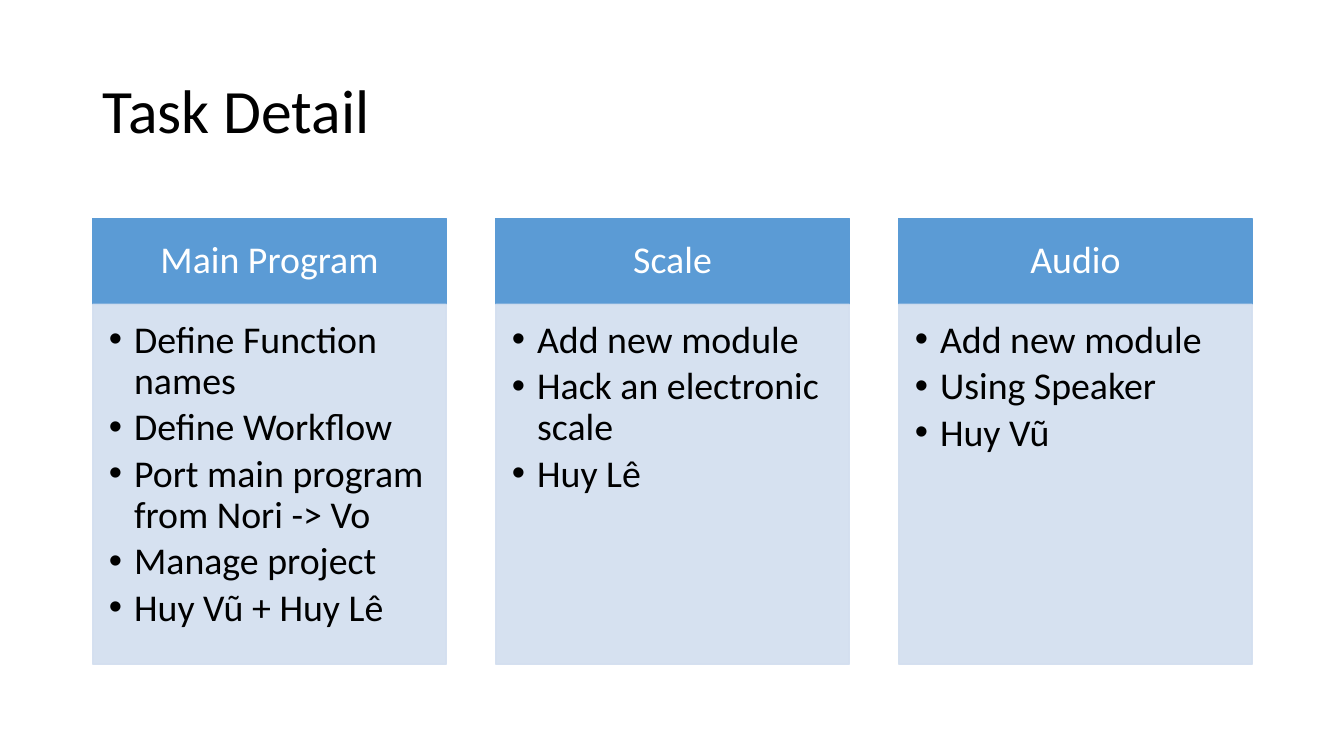
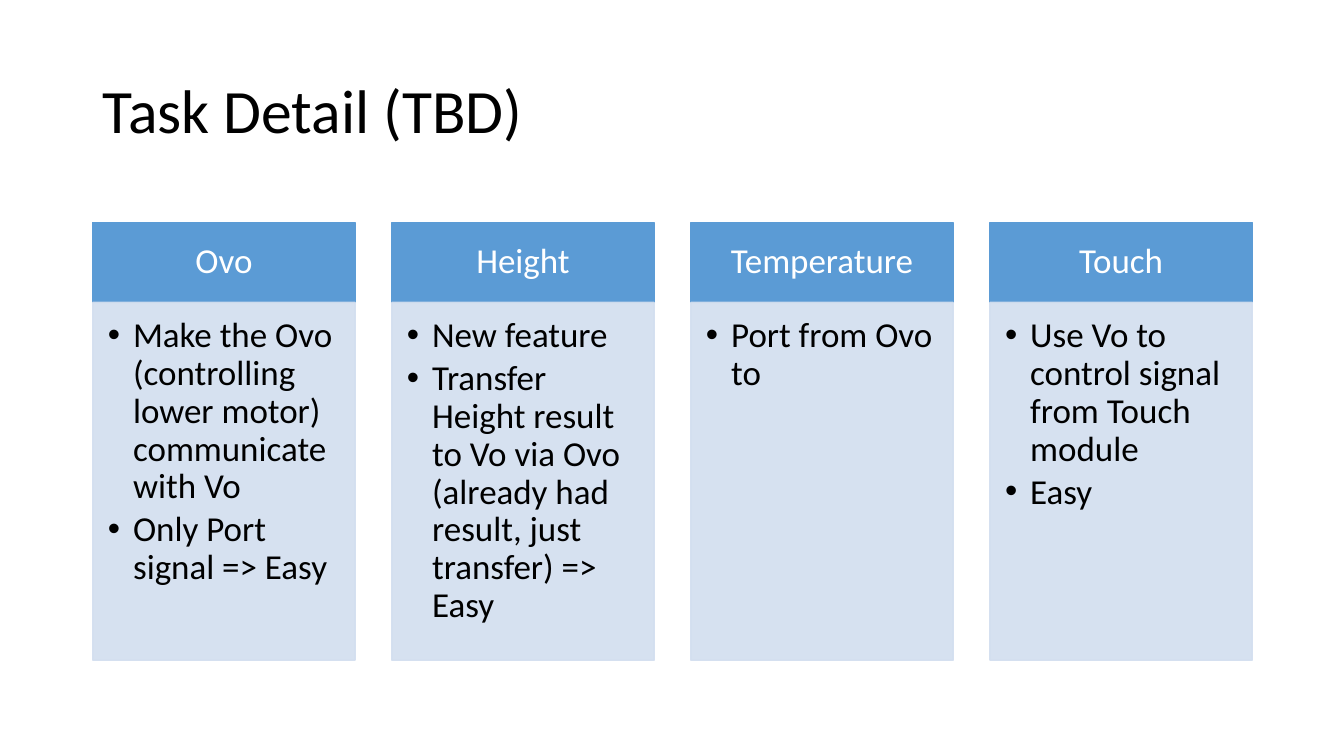
from lxml.etree import SubElement
from pptx import Presentation
from pptx.dml.color import RGBColor
from pptx.enum.shapes import MSO_SHAPE
from pptx.enum.text import MSO_ANCHOR, MSO_AUTO_SIZE, PP_ALIGN
from pptx.oxml.ns import qn
from pptx.util import Inches, Pt

COLORS = {
    "header": "5B9BD5",
    "panel": "D2DEEF",
    "text": "000000",
    "header_text": "FFFFFF",
}
FONT = "Calibri"
LEFT, CONTENT_WIDTH = 0.92, 11.5
GAP_RATIO = 0.14  # gap between columns, as a share of the column width
PANEL_OPACITY = 90
TITLE_ONLY = 5

SLIDES = [
    {
        "title": "Task Detail",
        "size": 27, "top": 2.17, "header_height": 0.85, "panel_height": 3.57,
        "header_insets": (0.21, 0.12, 0.21, 0.12),
        "panel_insets": (0.16, 0.16, 0.21, 0.24),
        "columns": [
            ("Main Program", ["Define Function names", "Define Workflow",
                              "Port main program from Nori -> Vo",
                              "Manage project", "Huy Vũ + Huy Lê"]),
            ("Scale", ["Add new module", "Hack an electronic scale", "Huy Lê"]),
            ("Audio", ["Add new module", "Using Speaker", "Huy Vũ"]),
        ],
    },
    {
        "title": "Task Detail (TBD)",
        "size": 25, "top": 2.21, "header_height": 0.79, "panel_height": 3.55,
        "header_insets": (0.19, 0.11, 0.19, 0.11),
        "panel_insets": (0.15, 0.15, 0.19, 0.22),
        "columns": [
            ("Ovo", ["Make the Ovo (controlling lower motor) communicate with Vo",
                     "Only Port signal => Easy"]),
            ("Height", ["New feature",
                        "Transfer Height result to Vo via Ovo "
                        "(already had result, just transfer) => Easy"]),
            ("Temperature", ["Port from Ovo to"]),
            ("Touch", ["Use Vo to control signal from Touch module", "Easy"]),
        ],
    },
]


def add_text(paragraph, text, size, color, align=PP_ALIGN.LEFT):
    paragraph.alignment = align
    paragraph.line_spacing = 0.9
    run = paragraph.add_run()
    run.text = text
    run.font.name = FONT
    run.font.size = Pt(size)
    run.font.color.rgb = RGBColor.from_string(COLORS[color])


def add_bullet(paragraph):
    properties = paragraph._p.get_or_add_pPr()
    properties.set("marL", str(Inches(0.25)))
    properties.set("indent", str(Inches(-0.25)))
    SubElement(properties, qn("a:buFont")).set("typeface", "Arial")
    SubElement(properties, qn("a:buChar")).set("char", "•")


def set_title(slide, text):
    title = slide.shapes.title
    title.left, title.top = Inches(LEFT), Inches(0.4)
    title.width, title.height = Inches(CONTENT_WIDTH), Inches(1.45)
    frame = title.text_frame
    frame.auto_size = MSO_AUTO_SIZE.NONE
    frame.vertical_anchor = MSO_ANCHOR.MIDDLE
    add_text(frame.paragraphs[0], text, 44, "text")


def add_box(slide, left, top, width, height, color, insets, anchor):
    shape = slide.shapes.add_shape(MSO_SHAPE.RECTANGLE, Inches(left), Inches(top),
                                   Inches(width), Inches(height))
    shape.shadow.inherit = False
    shape.fill.solid()
    for fill in (shape.fill, shape.line):
        fill_color = fill.fore_color if fill is shape.fill else fill.color
        fill_color.rgb = RGBColor.from_string(COLORS[color])
    shape.line.width = Pt(1)
    frame = shape.text_frame
    frame.word_wrap = True
    frame.vertical_anchor = anchor
    (frame.margin_left, frame.margin_top,
     frame.margin_right, frame.margin_bottom) = map(Inches, insets)
    return shape


def set_opacity(shape, percent):
    for color in shape._element.spPr.iter(qn("a:srgbClr")):
        SubElement(color, qn("a:alpha")).set("val", str(percent * 1000))


def add_header(slide, left, width, text, content):
    header = add_box(slide, left, content["top"], width, content["header_height"],
                     "header", content["header_insets"], MSO_ANCHOR.MIDDLE)
    add_text(header.text_frame.paragraphs[0], text, content["size"],
             "header_text", PP_ALIGN.CENTER)


def add_panel(slide, left, width, items, content):
    panel = add_box(slide, left, content["top"] + content["header_height"], width,
                    content["panel_height"], "panel", content["panel_insets"],
                    MSO_ANCHOR.TOP)
    set_opacity(panel, PANEL_OPACITY)
    frame = panel.text_frame
    for index, item in enumerate(items):
        paragraph = frame.add_paragraph() if index else frame.paragraphs[0]
        add_text(paragraph, item, content["size"], "text")
        paragraph.space_after = Pt(content["size"] * 0.15)
        add_bullet(paragraph)


def add_task_slide(presentation, content):
    slide = presentation.slides.add_slide(presentation.slide_layouts[TITLE_ONLY])
    set_title(slide, content["title"])
    # Equal columns across the content width
    count = len(content["columns"])
    width = CONTENT_WIDTH / (count + GAP_RATIO * (count - 1))
    for index, (heading, items) in enumerate(content["columns"]):
        left = LEFT + index * width * (1 + GAP_RATIO)
        add_header(slide, left, width, heading, content)
        add_panel(slide, left, width, items, content)


def main():
    presentation = Presentation()
    presentation.slide_width = Inches(13.33)
    presentation.slide_height = Inches(7.5)
    for content in SLIDES:
        add_task_slide(presentation, content)
    presentation.save("out.pptx")


main()
